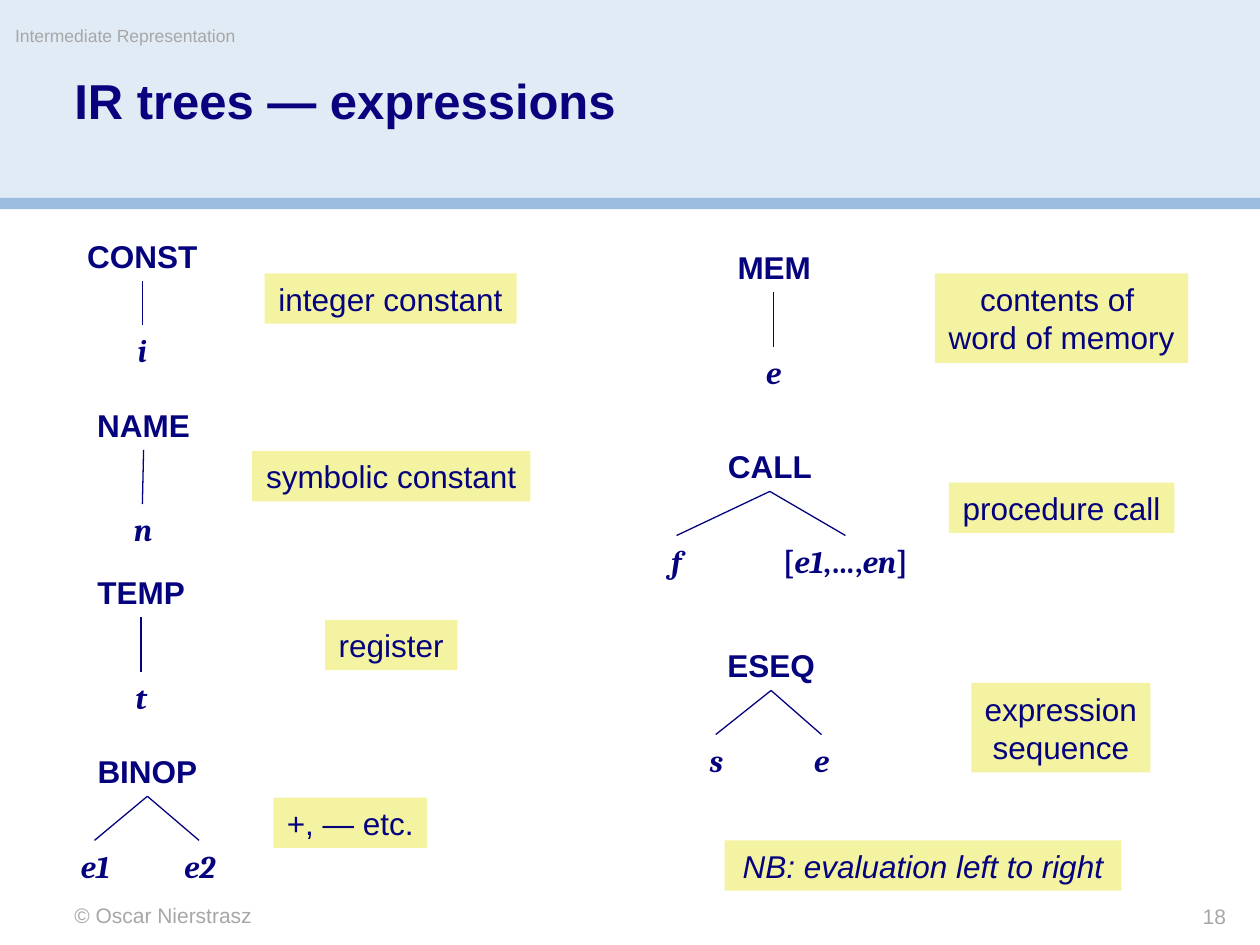
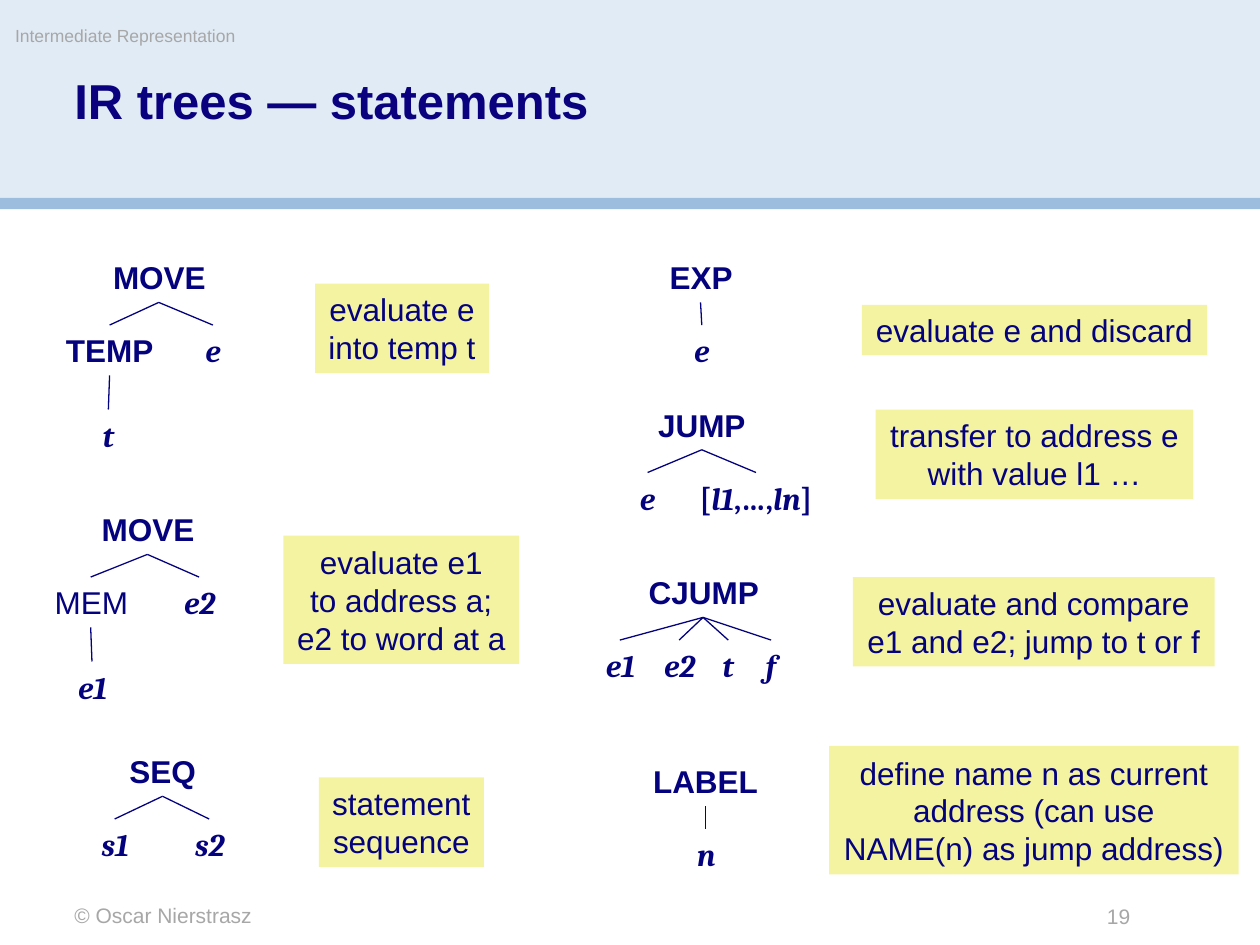
"""Build two slides on the expression and statement trees of an intermediate representation."""

import dataclasses
import typing

import lxml.etree
import pptx
import pptx.dml.color
import pptx.enum.shapes
import pptx.enum.text
import pptx.oxml.ns
import pptx.shapes.autoshape
import pptx.slide
import pptx.util

EMU_PER_PX = 9144
NODE_HEIGHT = 40
NOTE_LINE = 31
NOTE_PADDING = 9

COLOURS = {
    "band": "E1EBF5",
    "rule": "9CBDDE",
    "title": "0A017F",
    "ink": "05027D",
    "note": "F4F3A1",
    "footer": "A7A7A7",
}

Align = pptx.enum.text.PP_ALIGN


@dataclasses.dataclass(frozen=True)
class Style:
    """Look of a run of text."""

    font: str = "Arial"
    size: int = 18
    colour: str = "ink"
    bold: bool = False
    italic: bool = False


PLAIN = Style()
REMARK = Style(italic=True)
OPERATOR = Style(bold=True)
VARIABLE = Style("Cambria", bold=True, italic=True)
BRACKET = Style("Cambria", bold=True)
TITLE = Style(size=28, colour="title", bold=True)
FOOTER = Style(size=12, colour="footer")
RUNNING_HEAD = Style(size=10, colour="footer")


class Span(typing.NamedTuple):
    """A run of text with its style."""

    text: str
    style: Style = PLAIN


class Frame(typing.NamedTuple):
    """A rectangle in px."""

    left: int
    top: int
    width: int
    height: int


@dataclasses.dataclass(frozen=True)
class Node:
    """A tree node with the children it is joined to."""

    spans: tuple[Span, ...]
    left: int
    top: int
    width: int
    children: tuple["Node", ...] = ()

    @property
    def centre(self) -> int:
        """Return the horizontal middle, where edges meet the node."""
        return self.left + self.width // 2


@dataclasses.dataclass(frozen=True)
class Note:
    """A yellow explanation of one or more lines."""

    lines: tuple[str, ...]
    left: int
    top: int
    width: int
    style: Style = PLAIN


@dataclasses.dataclass(frozen=True)
class Lesson:
    """The content of one slide."""

    title: str
    number: str
    number_left: int
    trees: tuple[Node, ...]
    notes: tuple[Note, ...]


def operator(name: str, left: int, top: int, width: int, *children: Node, style: Style = OPERATOR) -> Node:
    """Return a node that names an operator."""
    return Node((Span(name, style),), left, top, width, children)


def variable(name: str, left: int, top: int, width: int) -> Node:
    """Return a leaf that names a variable."""
    return Node((Span(name, VARIABLE),), left, top, width)


def sequence(first: str, last: str, left: int, top: int, width: int) -> Node:
    """Return a leaf that shows a bracketed list."""
    spans = (
        Span("[", BRACKET),
        Span(first, VARIABLE),
        Span(",…,", BRACKET),
        Span(last, VARIABLE),
        Span("]", BRACKET),
    )
    return Node(spans, left, top, width)


LESSONS = (
    Lesson(
        "IR trees — expressions",
        "18",
        825,
        (
            operator("CONST", 58, 183, 110, variable("i", 96, 258, 34)),
            operator("NAME", 67, 317, 94, variable("n", 93, 400, 41)),
            operator("TEMP", 67, 450, 90, variable("t", 95, 533, 34)),
            operator("BINOP", 67, 592, 100, variable("e1", 50, 667, 51), variable("e2", 133, 667, 51)),
            operator("MEM", 575, 192, 79, variable("e", 595, 275, 38)),
            operator("CALL", 567, 350, 88, variable("f", 517, 425, 40), sequence("e1", "en", 608, 425, 126)),
            operator("ESEQ", 567, 508, 90, variable("s", 550, 583, 37), variable("e", 633, 583, 38)),
        ),
        (
            Note(("integer constant",), 210, 217, 200),
            Note(("symbolic constant",), 200, 358, 221),
            Note(("register",), 258, 492, 105),
            Note(("+, — etc.",), 217, 633, 122),
            Note(("contents of ", "word of memory"), 742, 217, 201),
            Note(("procedure call",), 753, 383, 179),
            Note(("expression", "sequence"), 771, 542, 142),
            Note(("NB: evaluation left to right",), 575, 667, 315, REMARK),
        ),
    ),
    Lesson(
        "IR trees — statements",
        "19",
        749,
        (
            operator(
                "MOVE", 79, 200, 95,
                operator("TEMP", 42, 258, 90, variable("t", 69, 325, 34)),
                variable("e", 150, 258, 38),
            ),
            operator(
                "MOVE", 70, 400, 95,
                operator("MEM", 33, 458, 79, variable("e1", 48, 525, 51), style=PLAIN),
                variable("e2", 133, 458, 51),
            ),
            operator("SEQ", 92, 592, 74, variable("s1", 67, 650, 49), variable("s2", 142, 650, 49)),
            operator("EXP", 521, 200, 71, variable("e", 538, 258, 38)),
            operator("JUMP", 512, 317, 90, variable("e", 495, 375, 38), sequence("l1", "ln", 542, 375, 116)),
            operator(
                "CJUMP", 504, 450, 109,
                variable("e1", 467, 508, 51),
                variable("e2", 514, 508, 51),
                variable("t", 561, 508, 34),
                variable("f", 592, 508, 40),
            ),
            operator("LABEL", 508, 600, 104, variable("n", 540, 658, 41)),
        ),
        (
            Note(("evaluate e", "into temp t"), 250, 225, 138),
            Note(("evaluate e1", "to address a;", "e2 to word at a"), 225, 425, 187),
            Note(("statement", "sequence"), 253, 617, 131),
            Note(("evaluate e and discard",), 684, 242, 274),
            Note(("transfer to address e", "with value l1 …"), 695, 325, 252),
            Note(("evaluate and compare", "e1 and e2; jump to t or f"), 677, 458, 287),
            Note(("define name n as current", "address (can use", "NAME(n) as jump address)"), 658, 592, 325),
        ),
    ),
)


def px(length: int) -> pptx.util.Emu:
    """Turn px into EMU."""
    return pptx.util.Emu(length * EMU_PER_PX)


def colour(name: str) -> pptx.dml.color.RGBColor:
    """Look up a named colour."""
    return pptx.dml.color.RGBColor.from_string(COLOURS[name])


def add_box(page: pptx.slide.Slide, frame: Frame, fill: str) -> pptx.shapes.autoshape.Shape:
    """Draw a filled rectangle without an outline."""
    box = page.shapes.add_shape(pptx.enum.shapes.MSO_SHAPE.RECTANGLE, *map(px, frame))
    box.shadow.inherit = False
    box.fill.solid()
    box.fill.fore_color.rgb = colour(fill)
    box.line.fill.background()
    return box


def write(box: pptx.shapes.autoshape.Shape, lines: typing.Iterable[typing.Iterable[Span]], align: Align) -> None:
    """Fill a box with one paragraph for each line."""
    for index, spans in enumerate(lines):
        para = box.text_frame.add_paragraph() if index else box.text_frame.paragraphs[0]
        para.alignment = align
        for span in spans:
            run = para.add_run()
            run.text = span.text
            run.font.name = span.style.font
            run.font.size = pptx.util.Pt(span.style.size)
            run.font.bold = span.style.bold
            run.font.italic = span.style.italic
            run.font.color.rgb = colour(span.style.colour)


def write_fitted(box: pptx.shapes.autoshape.Shape, lines: typing.Iterable[typing.Iterable[Span]]) -> None:
    """Centre unwrapped text in a box that fits it."""
    box.text_frame.word_wrap = False
    box.text_frame.auto_size = pptx.enum.text.MSO_AUTO_SIZE.SHAPE_TO_FIT_TEXT
    write(box, lines, Align.CENTER)


def add_label(page: pptx.slide.Slide, frame: Frame, span: Span, align: Align = Align.LEFT) -> pptx.shapes.autoshape.Shape:
    """Add a line of text without margins."""
    box = page.shapes.add_textbox(*map(px, frame))
    text = box.text_frame
    text.word_wrap = True
    text.margin_left = text.margin_right = text.margin_top = text.margin_bottom = 0
    write(box, [[span]], align)
    return box


def add_edge(page: pptx.slide.Slide, parent: Node, child: Node) -> None:
    """Join the bottom of a parent to the top of its child."""
    ends = (parent.centre, parent.top + NODE_HEIGHT, child.centre, child.top)
    edge = page.shapes.add_connector(pptx.enum.shapes.MSO_CONNECTOR.STRAIGHT, *map(px, ends))
    edge.line.color.rgb = colour("ink")
    edge.line.width = pptx.util.Pt(0.75)
    lxml.etree.SubElement(edge._element.spPr, pptx.oxml.ns.qn("a:effectLst"))


def add_tree(page: pptx.slide.Slide, node: Node) -> None:
    """Draw a node, its edges and all that hangs below it."""
    frame = Frame(node.left, node.top, node.width, NODE_HEIGHT)
    write_fitted(page.shapes.add_textbox(*map(px, frame)), [node.spans])
    for child in node.children:
        add_edge(page, node, child)
        add_tree(page, child)


def add_note(page: pptx.slide.Slide, note: Note) -> None:
    """Draw a yellow explanation."""
    height = NOTE_PADDING + NOTE_LINE * len(note.lines)
    box = add_box(page, Frame(note.left, note.top, note.width, height), "note")
    write_fitted(box, [[Span(line, note.style)] for line in note.lines])


def add_surroundings(page: pptx.slide.Slide, lesson: Lesson) -> None:
    """Draw the bands, title and footers."""
    add_box(page, Frame(0, 0, 1000, 158), "band")
    add_box(page, Frame(0, 157, 1000, 9), "rule")
    title = add_label(page, Frame(59, 61, 883, 89), Span(lesson.title, TITLE))
    title.text_frame.paragraphs[0].line_spacing = 0.9
    add_label(page, Frame(59, 716, 417, 20), Span("© Oscar Nierstrasz", FOOTER))
    add_label(page, Frame(12, 20, 590, 28), Span("Intermediate Representation", RUNNING_HEAD))
    add_label(page, Frame(lesson.number_left, 717, 148, 20), Span(lesson.number, FOOTER), Align.RIGHT)


def main() -> None:
    """Build and save the deck."""
    deck = pptx.Presentation()
    deck.slide_width, deck.slide_height = px(1000), px(750)
    for lesson in LESSONS:
        page = deck.slides.add_slide(deck.slide_layouts[6])
        add_surroundings(page, lesson)
        for tree in lesson.trees:
            add_tree(page, tree)
        for note in lesson.notes:
            add_note(page, note)
    deck.save("out.pptx")


if __name__ == "__main__":
    main()
